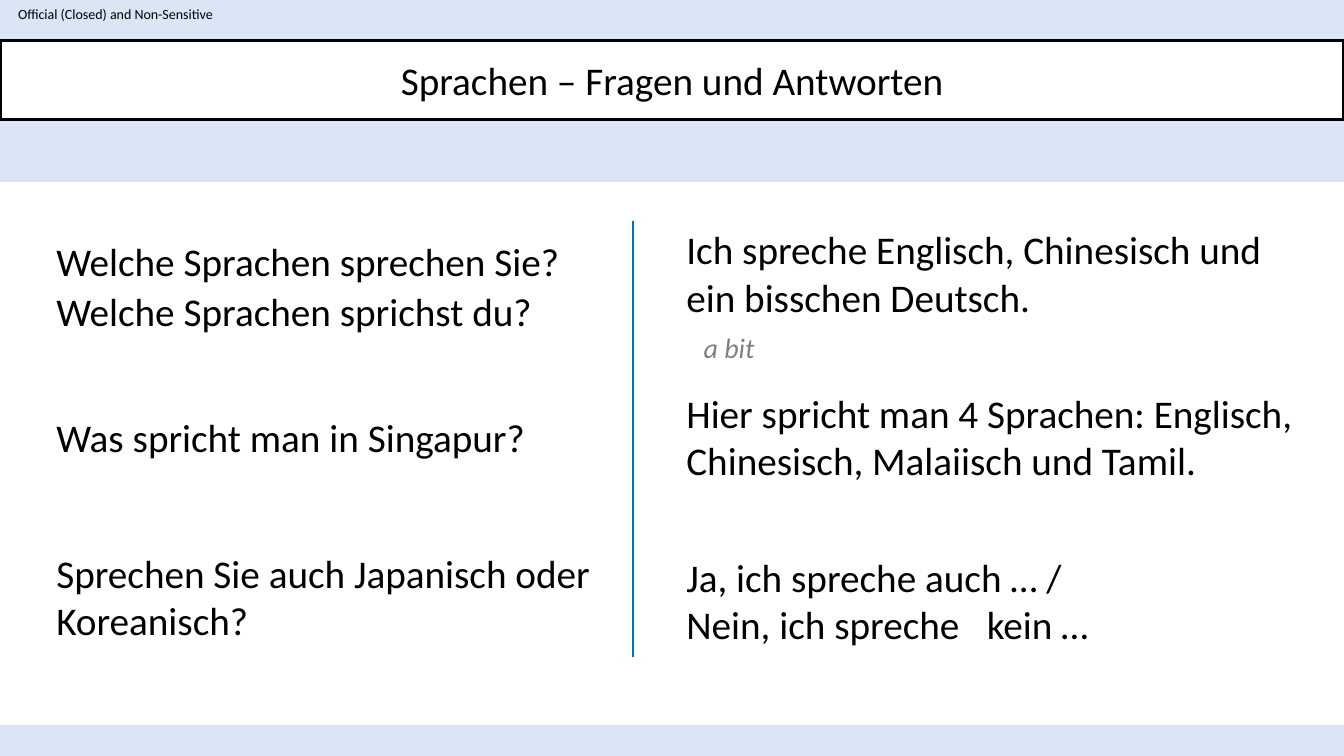
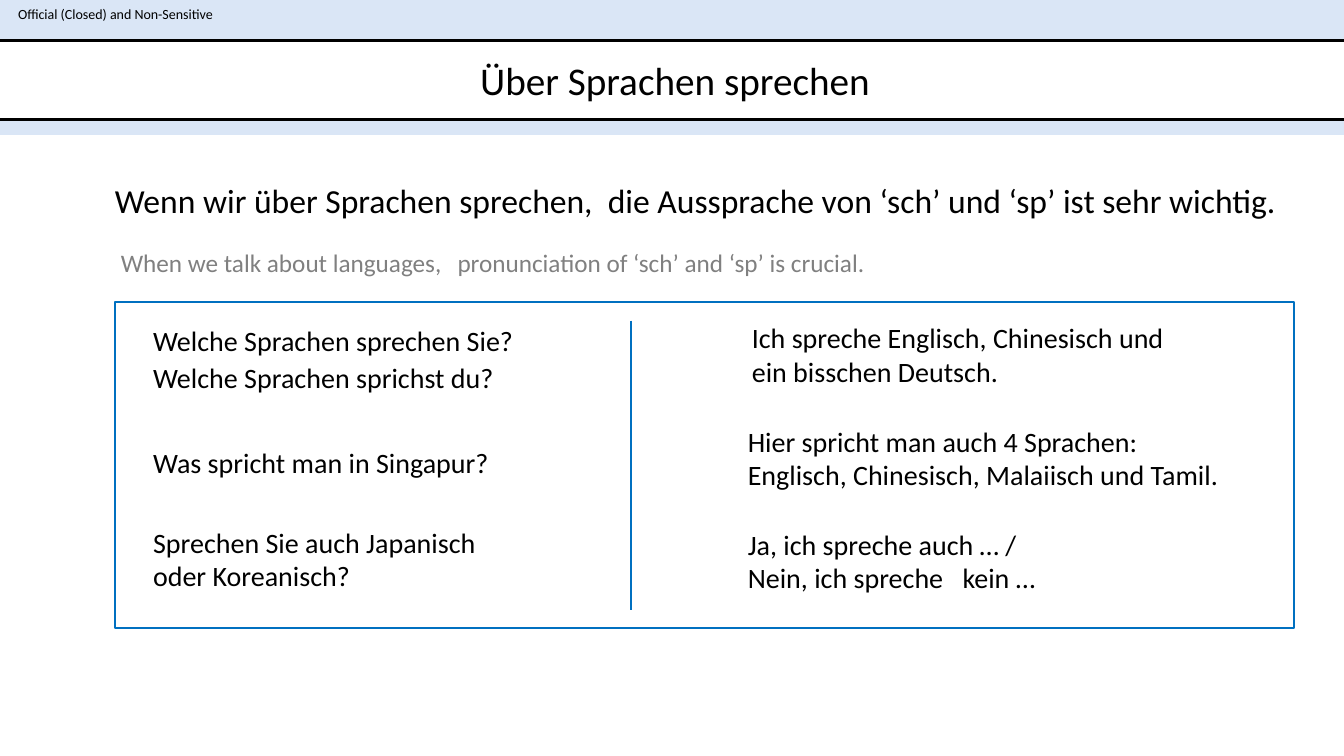
import pptx
import pptx.util
import pptx.dml.color
import pptx.enum.shapes
import pptx.enum.text
import pptx.oxml.ns
from lxml import etree

# Shared look
FONT = "Calibri"
BLACK = pptx.dml.color.RGBColor(0x00, 0x00, 0x00)
WHITE = pptx.dml.color.RGBColor(0xFF, 0xFF, 0xFF)
GREY = pptx.dml.color.RGBColor(0x80, 0x80, 0x80)
BLUE = pptx.dml.color.RGBColor(0x00, 0x70, 0xC0)
PALE_BLUE = pptx.dml.color.RGBColor(0xDA, 0xE6, 0xF6)
LABEL = "Official (Closed) and Non-Sensitive"
LINE_SPACING = 1.22
RECTANGLE = pptx.enum.shapes.MSO_SHAPE.RECTANGLE
STRAIGHT = pptx.enum.shapes.MSO_CONNECTOR.STRAIGHT
MIDDLE = pptx.enum.text.MSO_ANCHOR.MIDDLE

presentation = pptx.Presentation()
presentation.slide_width = pptx.util.Inches(13.33)
presentation.slide_height = pptx.util.Inches(7.5)
background = presentation.slide_master.background.fill
background.solid()
background.fore_color.rgb = PALE_BLUE


def share(*percents):
    """Turn alternating shares of slide width and height (in %) into lengths."""
    sides = (presentation.slide_width, presentation.slide_height)
    return [int(sides[i % 2] * percent / 100) for i, percent in enumerate(percents)]


def add_text(shapes, left, top, width, lines, paragraphs, size, color=BLACK, tab=None):
    """Add a wrapping text box; a tab stop is given in inches."""
    x, y, box_width = share(left, top, width)
    height = pptx.util.Pt(lines * size * LINE_SPACING + 7.2)
    frame = shapes.add_textbox(x, y, box_width, height).text_frame
    frame.word_wrap = True
    for i, text in enumerate(paragraphs):
        paragraph = frame.paragraphs[0] if i == 0 else frame.add_paragraph()
        if "\t" in text:
            properties = paragraph._p.get_or_add_pPr()
            tabs = etree.SubElement(properties, pptx.oxml.ns.qn("a:tabLst"))
            etree.SubElement(tabs, pptx.oxml.ns.qn("a:tab"),
                             pos=str(pptx.util.Inches(tab)), algn="l")
        run = paragraph.add_run()
        run.text = text
        run.font.color.rgb = color
        for name, value in {"name": FONT, "size": pptx.util.Pt(size)}.items():
            setattr(run.font, name, value)
    return frame


# Each slide: title, banner and panel places, then its dialogue in two columns
pages = [
    {
        "title": "Sprachen – Fragen und Antworten",
        "banner": (0, 5.33, 100, 10.53),
        "panel": (0, 24.13, 100, 71.73),
        "divider": (47.11, 29.2, 47.11, 86.93),
        "size": 28, "tab": 2.98, "widths": (43, 47.5),
        "dialogue": [
            (0, 3.45, 30.67, 1, ["Welche Sprachen sprechen Sie?"]),
            (0, 3.45, 37.33, 1, ["Welche Sprachen sprichst du?"]),
            (0, 3.45, 54, 1, ["Was spricht man in Singapur?"]),
            (0, 3.45, 72, 2, ["Sprechen Sie auch Japanisch oder Koreanisch?"]),
            (1, 50.33, 29.2, 3,
             ["Ich spreche Englisch, Chinesisch und ein bisschen Deutsch.", "a bit"]),
            (1, 50.33, 50.8, 2,
             ["Hier spricht man 4 Sprachen: Englisch, Chinesisch, Malaiisch und Tamil."]),
            (1, 50.33, 72.53, 2,
             ["Ja, ich spreche auch … /", "Nein, ich spreche\tkein …"]),
        ],
    },
    {
        "title": "Über Sprachen sprechen",
        "banner": (-0.98, 5.33, 102.4, 10.53),
        "panel": (0, 18, 100, 82),
        "frame": (8.55, 40, 87.75, 43.07),
        "divider": (46.95, 42.4, 46.95, 80.67),
        "size": 20, "tab": 2.13, "widths": (35, 39),
        "dialogue": [
            (0, 10.65, 42.13, 1, ["Welche Sprachen sprechen Sie?"]),
            (0, 10.65, 47.07, 1, ["Welche Sprachen sprichst du?"]),
            (0, 10.65, 58.27, 1, ["Was spricht man in Singapur?"]),
            (0, 10.65, 68.8, 2, ["Sprechen Sie auch Japanisch", "oder Koreanisch?"]),
            (1, 55.2, 41.73, 2,
             ["Ich spreche Englisch, Chinesisch und", "ein bisschen Deutsch."]),
            (1, 54.9, 55.47, 2,
             ["Hier spricht man auch 4 Sprachen:",
              "Englisch, Chinesisch, Malaiisch und Tamil."]),
            (1, 54.9, 69.07, 2,
             ["Ja, ich spreche auch … /", "Nein, ich spreche\tkein …"]),
        ],
    },
]

for page in pages:
    slide = presentation.slides.add_slide(presentation.slide_layouts[5])

    # Classification label
    label = add_text(slide.shapes, 0, 0, 17.2, 1, [LABEL], 10)
    label.vertical_anchor = MIDDLE
    for name, value in {"margin_left": pptx.util.Inches(0.18), "margin_right": 0}.items():
        setattr(label, name, value)

    # White panel and blue frame
    outlines = [("panel", WHITE, 1), ("frame", BLUE, 1.5)]
    for part, color, weight in outlines:
        if part in page:
            shape = slide.shapes.add_shape(RECTANGLE, *share(*page[part]))
            shape.shadow.inherit = False
            shape.fill.solid()
            shape.fill.fore_color.rgb = WHITE
            shape.line.color.rgb = color
            shape.line.width = pptx.util.Pt(weight)

    # Title banner
    title = slide.shapes.title
    title.left, title.top, title.width, title.height = share(*page["banner"])
    title.fill.solid()
    title.fill.fore_color.rgb = WHITE
    title.line.color.rgb = BLACK
    title.line.width = pptx.util.Pt(2.25)
    title.text_frame.text = page["title"]
    title.text_frame.vertical_anchor = MIDDLE
    title.text_frame.auto_size = pptx.enum.text.MSO_AUTO_SIZE.NONE
    paragraph = title.text_frame.paragraphs[0]
    paragraph.alignment = pptx.enum.text.PP_ALIGN.CENTER
    font = paragraph.runs[0].font
    font.color.rgb = BLACK
    for name, value in {"name": FONT, "size": pptx.util.Pt(28)}.items():
        setattr(font, name, value)

    # Questions and answers
    for column, left, top, lines, paragraphs in page["dialogue"]:
        frame = add_text(slide.shapes, left, top, page["widths"][column], lines,
                         paragraphs, page["size"], tab=page["tab"])
        # Gloss under the answer, indented below its words
        if paragraphs[-1] == "a bit":
            gloss = frame.paragraphs[-1]
            gloss.space_before = pptx.util.Pt(7.6)
            gloss._p.get_or_add_pPr().set("marL", str(pptx.util.Inches(0.17)))
            font = gloss.runs[0].font
            font.color.rgb = GREY
            for name, value in {"size": pptx.util.Pt(20), "italic": True}.items():
                setattr(font, name, value)

    # Divider between the columns
    divider = slide.shapes.add_connector(STRAIGHT, *share(*page["divider"]))
    divider.line.color.rgb = BLUE
    divider.line.width = pptx.util.Pt(1.5)
    etree.SubElement(divider._element.spPr, pptx.oxml.ns.qn("a:effectLst"))

# Introduction on the second slide
add_text(slide.shapes, 7.8, 23.2, 92.2, 1,
         ["Wenn wir über Sprachen sprechen,\tdie Aussprache von ‘sch’ und ‘sp’ "
          "ist sehr wichtig."], 24, tab=4.89)
add_text(slide.shapes, 8.25, 32, 66.5, 1,
         ["When we talk about languages,\tpronunciation of ‘sch’ and ‘sp’ is crucial."],
         18, GREY, tab=3.34)

presentation.save("out.pptx")
